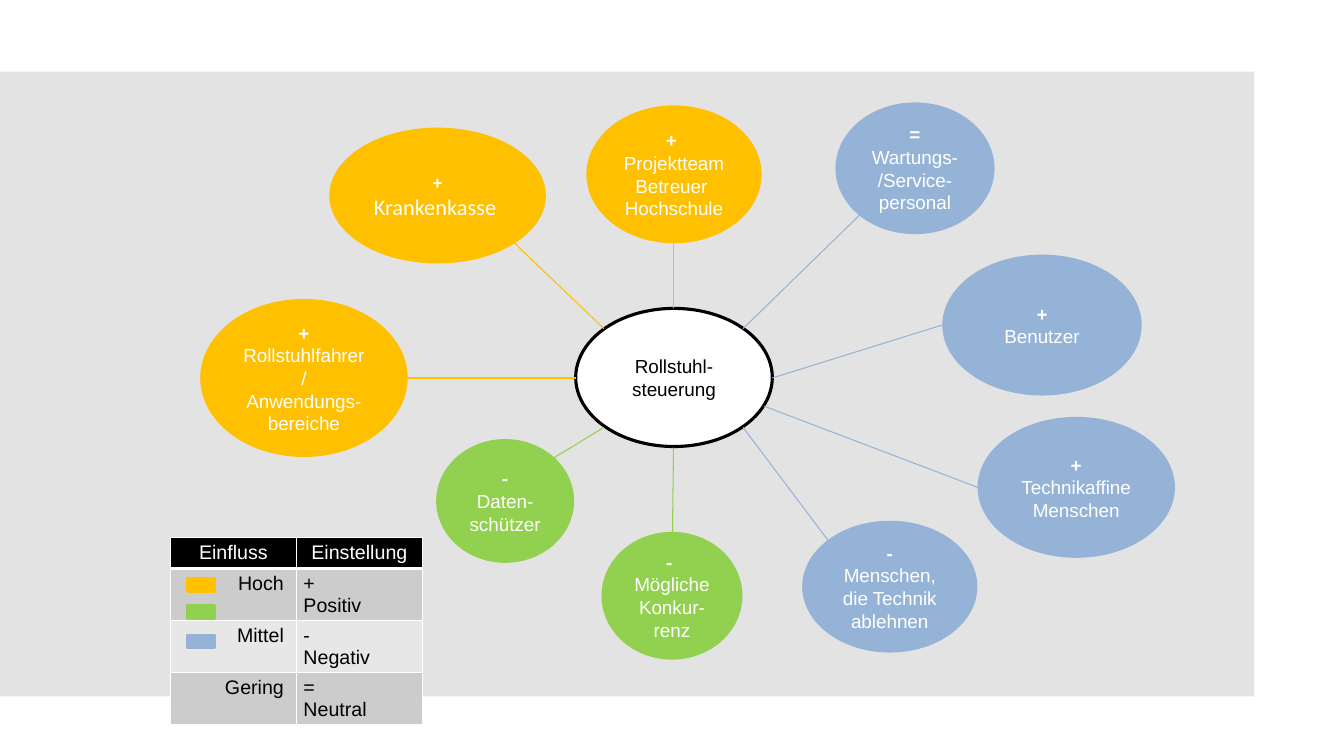
"""Builds the stakeholder map of the wheelchair control system."""
from lxml import etree
from pptx import Presentation
from pptx.dml.color import RGBColor
from pptx.enum.shapes import MSO_CONNECTOR, MSO_SHAPE
from pptx.enum.text import MSO_ANCHOR, PP_ALIGN
from pptx.oxml.ns import qn
from pptx.util import Inches, Pt

ELLIPSE, RECTANGLE = MSO_SHAPE.OVAL, MSO_SHAPE.RECTANGLE
STRAIGHT = MSO_CONNECTOR.STRAIGHT
MIDDLE = MSO_ANCHOR.MIDDLE
LEFT, CENTER, RIGHT = PP_ALIGN.LEFT, PP_ALIGN.CENTER, PP_ALIGN.RIGHT

COLORS = {
    "panel": "E3E3E3", "white": "FFFFFF", "black": "000000",
    "high": "FFC000", "medium": "92D050", "low": "95B3D7",
    "dark_row": "CCCCCC", "light_row": "E7E7E7",
}


def write(frame, lines, size=13.5, font="Arial", color="white", align=CENTER,
          sign_first=False):
    """Fills a text frame, one paragraph a line, optionally led by a bold sign."""
    for index, line in enumerate(lines):
        paragraph = frame.add_paragraph() if index else frame.paragraphs[0]
        paragraph.text = line
        paragraph.alignment = align
        is_sign = sign_first and index == 0
        for run in paragraph.runs:
            run.font.name = font
            run.font.size = Pt(13.5 if is_sign else size)
            run.font.bold = is_sign
            run.font.color.rgb = RGBColor.from_string(COLORS[color])


def draw(kind, box, fill, outline=None, width=2):
    """Adds a filled shape without shadow."""
    shape = slide.shapes.add_shape(kind, *map(Inches, box))
    shape.shadow.inherit = False
    shape.fill.solid()
    shape.fill.fore_color.rgb = RGBColor.from_string(COLORS[fill])
    if outline:
        shape.line.color.rgb = RGBColor.from_string(COLORS[outline])
        shape.line.width = Pt(width)
    else:
        shape.line.fill.background()
    shape.text_frame.word_wrap = True
    shape.text_frame.vertical_anchor = MIDDLE
    return shape


presentation = Presentation()
presentation.slide_width = Inches(13.33)
presentation.slide_height = Inches(7.5)
slide = presentation.slides.add_slide(presentation.slide_layouts[6])

draw(RECTANGLE, (0, 0.71, 12.44, 6.2), "panel")
system = draw(ELLIPSE, (5.71, 3.06, 1.95, 1.37), "white", "black", 2.25)
write(system.text_frame, ["Rollstuhl-steuerung"], color="black")

legend_rows = [
    ("Einfluss", "Einstellung"),
    ("Hoch ", "+\vPositiv"),
    ("Mittel ", "-\vNegativ"),
    ("Gering ", "=\vNeutral"),
]
legend = slide.shapes.add_table(
    4, 2, Inches(1.69), Inches(5.33), Inches(2.5), Inches(1.84)).table
for row_index, labels in enumerate(legend_rows):
    is_header = row_index == 0
    legend.rows[row_index].height = Inches(0.31 if is_header else 0.51)
    row_fill = "black" if is_header else ("light_row", "dark_row")[row_index % 2]
    for column_index, label in enumerate(labels):
        cell = legend.cell(row_index, column_index)
        cell.margin_left = cell.margin_right = Inches(0.07)
        cell.margin_top = cell.margin_bottom = Inches(0.04)
        write(cell.text_frame, [label], size=14,
              color="white" if is_header else "black",
              align=CENTER if is_header else (RIGHT, LEFT)[column_index])
        border_widths = {"lnL": 1, "lnR": 1, "lnT": 3 if row_index == 1 else 1,
                         "lnB": 3 if is_header else 1}
        for side, width in border_widths.items():
            border = etree.SubElement(cell._tc.get_or_add_tcPr(), qn("a:" + side),
                                      w=str(Pt(width)))
            border_fill = etree.SubElement(border, qn("a:solidFill"))
            etree.SubElement(border_fill, qn("a:srgbClr"), val=COLORS["white"])
        cell.fill.solid()
        cell.fill.fore_color.rgb = RGBColor.from_string(COLORS[row_fill])

for influence, top in (("high", 5.74), ("medium", 6.01), ("low", 6.3)):
    draw(RECTANGLE, (1.86, top, 0.27, 0.13), influence, influence)

stakeholders = [
    (["+ ", "Projektteam", "Betreuer ", "Hochschule"], "high",
     (5.83, 1.06, 1.71, 1.34), (6.68, 3.06, 6.68, 2.41)),
    (["+", "Rollstuhlfahrer\v/\vAnwendungs-bereiche"], "high",
     (2, 2.98, 2.03, 1.54), (5.71, 3.75, 4.03, 3.75)),
    (["+", "Technikaffine", "Menschen"], "low",
     (9.71, 4.15, 1.93, 1.37), (7.58, 4.03, 9.71, 4.84)),
    (["-", "Menschen,\vdie Technik ablehnen"], "low",
     (7.97, 5.18, 1.71, 1.28), (8.22, 5.37, 7.37, 4.24)),
    (["+", "Krankenkasse "], "high",
     (3.28, 1.28, 2.12, 1.32), (5.99, 3.26, 5.09, 2.4)),
    (["-", "Daten-", "schützer "], "medium",
     (4.34, 4.37, 1.34, 1.2), (5.99, 4.24, 5.48, 4.55)),
    (["=", "Wartungs-/Service-", "personal"], "low",
     (8.3, 1.03, 1.55, 1.28), (7.37, 3.26, 8.53, 2.13)),
    (["- ", "Mögliche Konkur-", "renz"], "medium",
     (5.98, 5.29, 1.37, 1.24), (6.68, 4.44, 6.67, 5.29)),
    (["+", "Benutzer"], "low",
     (9.36, 2.54, 1.95, 1.37), (9.36, 3.22, 7.66, 3.75)),
]
for lines, influence, box, ends in stakeholders:
    link = slide.shapes.add_connector(STRAIGHT, *map(Inches, ends))
    link.line.color.rgb = RGBColor.from_string(COLORS[influence])
    link.line.width = Pt(0.75)
    etree.SubElement(link._element.spPr, qn("a:effectLst"))

for lines, influence, box, ends in stakeholders:
    bubble = draw(ELLIPSE, box, influence, influence)
    is_insurer = "Krankenkasse " in lines
    write(bubble.text_frame, lines, size=16 if is_insurer else 13.5,
          font="Calibri" if is_insurer else "Arial", sign_first=True)

presentation.save("out.pptx")
